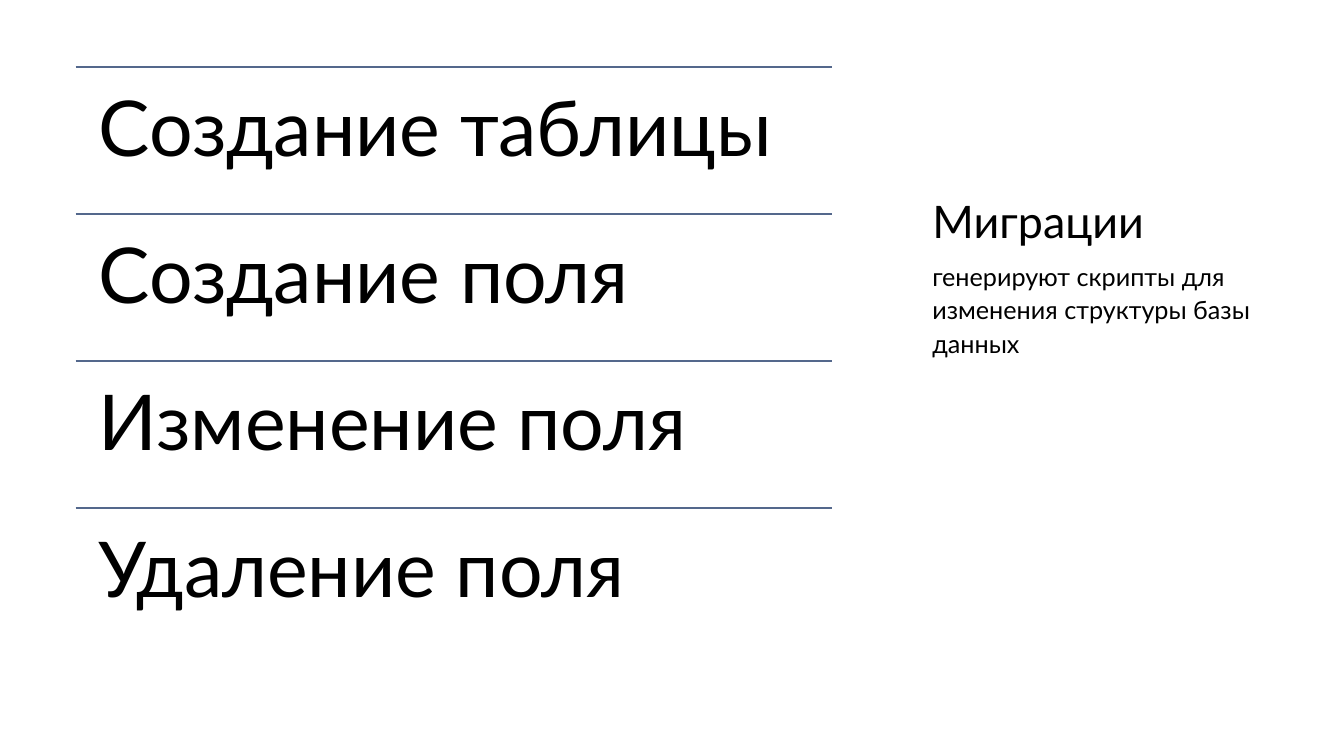
from lxml import etree
from pptx import Presentation
from pptx.dml.color import RGBColor
from pptx.enum.shapes import MSO_CONNECTOR
from pptx.enum.text import MSO_ANCHOR
from pptx.oxml.ns import qn
from pptx.util import Pt

STRAIGHT = MSO_CONNECTOR.STRAIGHT
TOP, BOTTOM = MSO_ANCHOR.TOP, MSO_ANCHOR.BOTTOM


def rgb(hex_color):
    """Turn a hex string into a colour."""
    return RGBColor.from_string(hex_color)


def add_text(text, left, top, width, height, size, inset=0, anchor=TOP):
    """Add a wrapped black text box and return its paragraph."""
    box = slide.shapes.add_textbox(Pt(left), Pt(top), Pt(width), Pt(height))
    frame = box.text_frame
    frame.word_wrap = True
    frame.vertical_anchor = anchor
    frame.margin_left = frame.margin_right = Pt(inset)
    frame.margin_top = frame.margin_bottom = Pt(inset)
    paragraph = frame.paragraphs[0]
    paragraph.text = text
    paragraph.font.name = "Lato"
    paragraph.font.size = Pt(size)
    paragraph.font.color.rgb = rgb("000000")
    return paragraph


presentation = Presentation()
presentation.slide_width = Pt(960)
presentation.slide_height = Pt(540)
slide = presentation.slides.add_slide(presentation.slide_layouts[6])

# Migration operations, each under a rule
operations = ["Создание таблицы", "Создание поля", "Изменение поля", "Удаление поля"]
list_left, list_top, list_width, row_height = 54, 48, 540, 105
for row, operation in enumerate(operations):
    row_top = list_top + row * row_height
    rule = slide.shapes.add_connector(
        STRAIGHT, Pt(list_left), Pt(row_top), Pt(list_left + list_width), Pt(row_top))
    rule.line.color.rgb = rgb("54688C")
    rule.line.width = Pt(1)
    etree.SubElement(rule._element.spPr, qn("a:effectLst"))
    label = add_text(operation, list_left, row_top, list_width, row_height, 55, inset=16.5)
    label.line_spacing = 0.9

# Heading and explanation on the right
side_left, side_width = 666, 249
add_text("Миграции", side_left, 47.5, side_width, 129.5, 32, anchor=BOTTOM)
explanation = add_text("генерируют скрипты для изменения структуры базы данных",
                       side_left, 184.5, side_width, 283.5, 18)
explanation.line_spacing = 1.1
explanation.space_before = Pt(8)

presentation.save("out.pptx")
